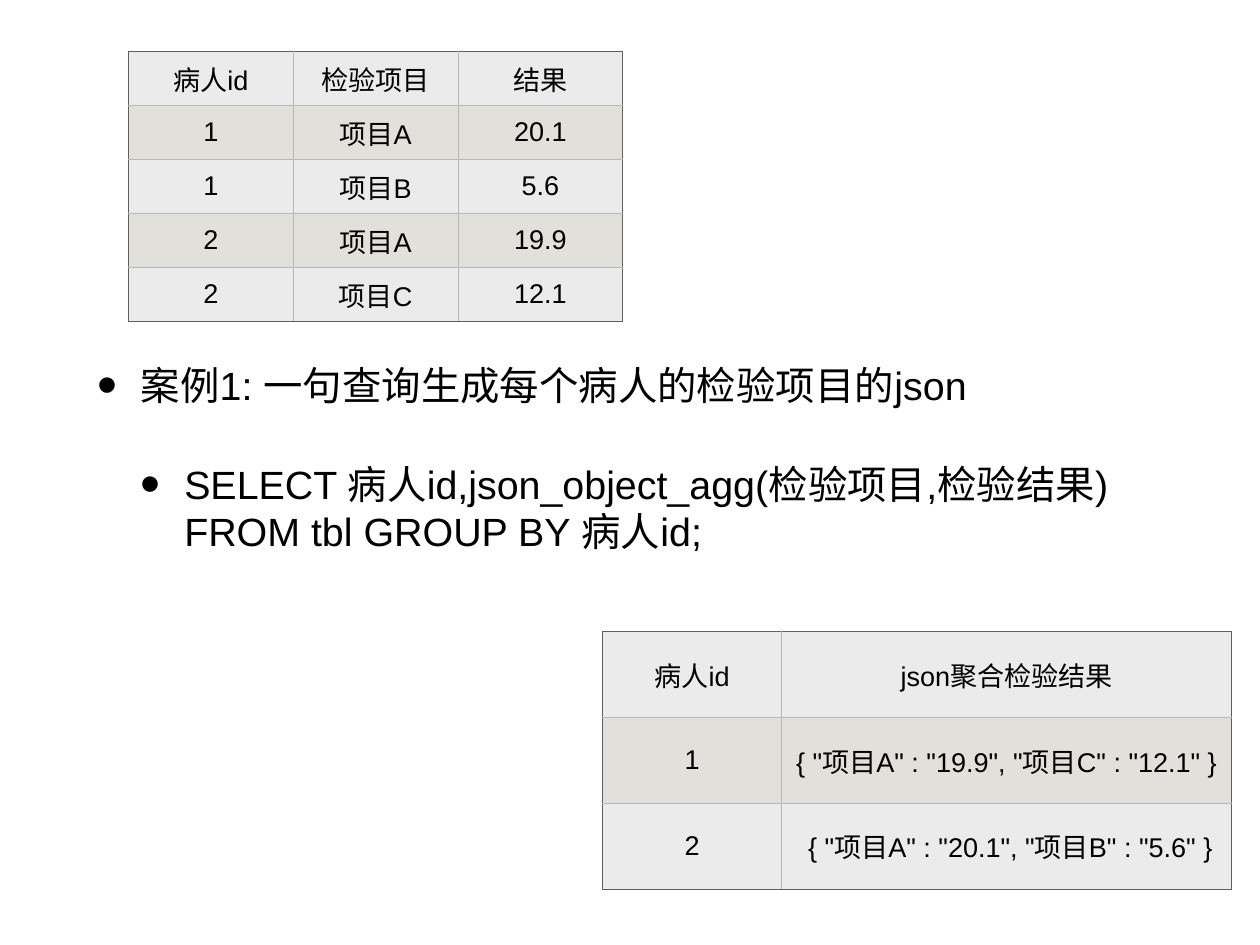
"""Build the slide on aggregating patient test results into JSON."""
from dataclasses import dataclass

from lxml.etree import SubElement
from pptx import Presentation
from pptx.dml.color import RGBColor
from pptx.enum.text import MSO_ANCHOR, PP_ALIGN
from pptx.oxml.ns import qn
from pptx.slide import Slide
from pptx.table import _Cell as Cell
from pptx.text.text import TextFrame, _Paragraph as Paragraph
from pptx.util import Inches, Pt

BLACK = RGBColor(0x00, 0x00, 0x00)
LIGHT_ROW = RGBColor(0xEB, 0xEB, 0xEB)
DARK_ROW = RGBColor(0xE1, 0xE0, 0xDA)
OUTER_BORDER = RGBColor(0x60, 0x60, 0x60)
INNER_BORDER = RGBColor(0xB8, 0xB8, 0xB8)
FONT = "Arial"
MARGIN = Inches(0.06)
INDENT = 0.49


@dataclass(frozen=True)
class DataTable:
    left: float
    top: float
    column_widths: tuple[float, ...]
    row_height: float
    rows: tuple[tuple[str, ...], ...]


@dataclass(frozen=True)
class Bullet:
    level: int
    text: str


TABLES = (
    DataTable(1.45, 0.58, (1.86, 1.86, 1.86), 0.61, (
        ("病人id", "检验项目", "结果"),
        ("1", "项目A", "20.1"),
        ("1", "项目B", "5.6"),
        ("2", "项目A", "19.9"),
        ("2", "项目C", "12.1"),
    )),
    DataTable(6.8, 7.13, (2.02, 5.08), 0.97, (
        ("病人id", "json聚合检验结果"),
        ("1", '{ "项目A" : "19.9", "项目C" : "12.1" }'),
        ("2", ' { "项目A" : "20.1", "项目B" : "5.6" }'),
    )),
)
BULLETS = (
    Bullet(0, "案例1: 一句查询生成每个病人的检验项目的json"),
    Bullet(1, "SELECT 病人id,json_object_agg(检验项目,检验结果) FROM tbl GROUP BY 病人id;"),
)


def add_run(paragraph: Paragraph, text: str, size: int) -> None:
    run = paragraph.add_run()
    run.text = text
    run.font.name = FONT
    run.font.size = Pt(size)
    run.font.color.rgb = BLACK


def set_margins(target: Cell | TextFrame) -> None:
    target.margin_left = target.margin_right = MARGIN
    target.margin_top = target.margin_bottom = MARGIN
    target.vertical_anchor = MSO_ANCHOR.MIDDLE


def set_borders(cell: Cell, outer_sides: dict[str, bool]) -> None:
    properties = cell._tc.get_or_add_tcPr()
    for side, is_outer in outer_sides.items():
        line = SubElement(properties, qn(f"a:ln{side}"), w=str(Pt(1)))
        fill = SubElement(line, qn("a:solidFill"))
        color = OUTER_BORDER if is_outer else INNER_BORDER
        SubElement(fill, qn("a:srgbClr"), val=str(color))


def add_data_table(slide: Slide, data: DataTable) -> None:
    row_count, column_count = len(data.rows), len(data.column_widths)
    table = slide.shapes.add_table(
        row_count, column_count, Inches(data.left), Inches(data.top),
        Inches(sum(data.column_widths)), Inches(data.row_height * row_count),
    ).table
    table.first_row = table.horz_banding = False
    for column, width in zip(table.columns, data.column_widths):
        column.width = Inches(width)
    for row_index, texts in enumerate(data.rows):
        table.rows[row_index].height = Inches(data.row_height)
        for column_index, text in enumerate(texts):
            cell = table.cell(row_index, column_index)
            set_margins(cell)
            set_borders(cell, {
                "L": column_index == 0,
                "R": column_index == column_count - 1,
                "T": row_index == 0,
                "B": row_index == row_count - 1,
            })
            cell.fill.solid()
            cell.fill.fore_color.rgb = DARK_ROW if row_index % 2 else LIGHT_ROW
            paragraph = cell.text_frame.paragraphs[0]
            paragraph.alignment = PP_ALIGN.CENTER
            add_run(paragraph, text, 22)


def format_bullet(paragraph: Paragraph, level: int) -> None:
    paragraph.level = level
    paragraph.space_before = Pt(42)
    properties = paragraph._p.get_or_add_pPr()
    properties.set("marL", str(Inches(INDENT * (level + 1))))
    properties.set("indent", str(Inches(-INDENT)))
    SubElement(properties, qn("a:buSzPct"), val="145000")
    SubElement(properties, qn("a:buFont"), typeface=FONT)
    SubElement(properties, qn("a:buChar"), char="•")


def add_bullets(slide: Slide, bullets: tuple[Bullet, ...]) -> None:
    text_frame = slide.shapes.add_textbox(
        Inches(1.04), Inches(1.22), Inches(12.14), Inches(7.89)
    ).text_frame
    text_frame.word_wrap = True
    set_margins(text_frame)
    for index, bullet in enumerate(bullets):
        paragraph = text_frame.add_paragraph() if index else text_frame.paragraphs[0]
        format_bullet(paragraph, bullet.level)
        add_run(paragraph, bullet.text, 32)


def main() -> None:
    presentation = Presentation()
    presentation.slide_width = Inches(14.22)
    presentation.slide_height = Inches(10.67)
    slide = presentation.slides.add_slide(presentation.slide_layouts[6])
    add_bullets(slide, BULLETS)
    for data in TABLES:
        add_data_table(slide, data)
    presentation.save("out.pptx")


if __name__ == "__main__":
    main()
